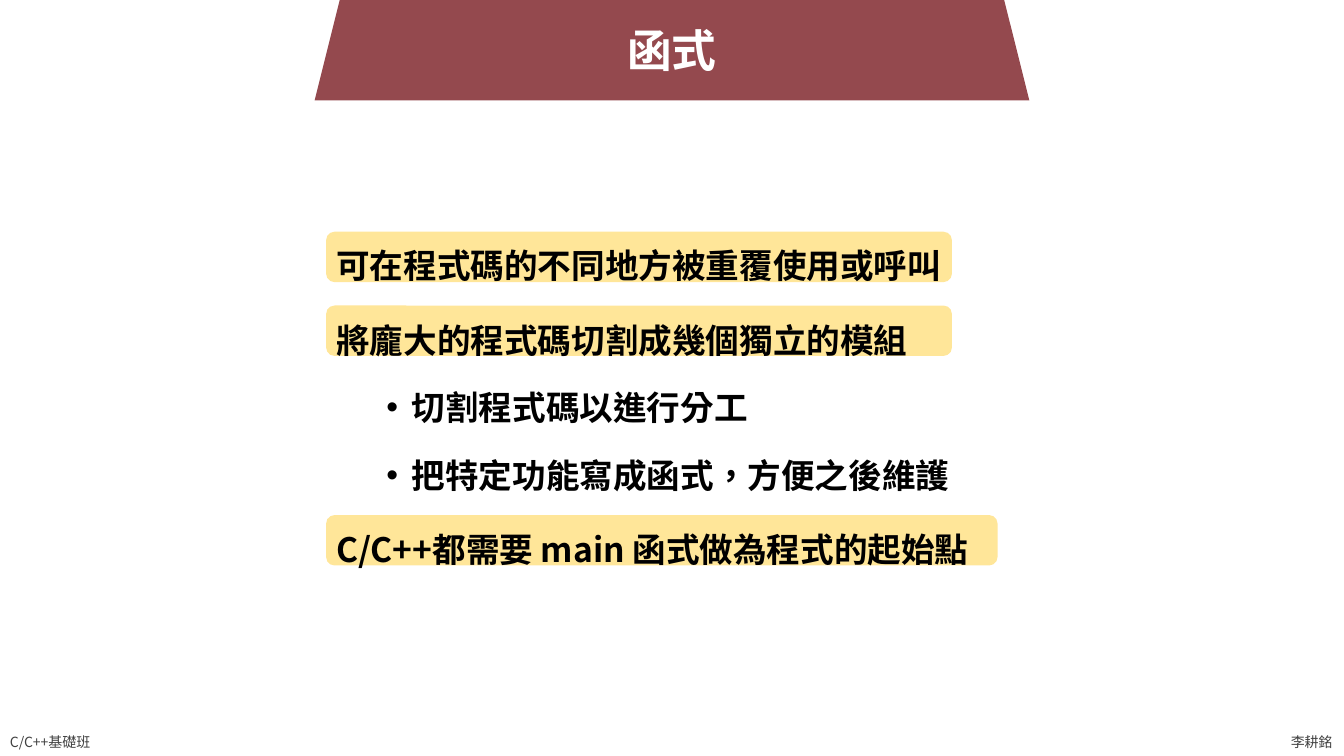
import pptx
import pptx.util
import pptx.dml.color
import pptx.enum.shapes
import pptx.enum.text
import pptx.oxml
import pptx.oxml.ns
from pptx.util import Cm

FONT = "Noto Sans CJK TC"
MSO_SHAPE = pptx.enum.shapes.MSO_SHAPE
ANCHOR = pptx.enum.text.MSO_ANCHOR
AUTO_SIZE = pptx.enum.text.MSO_AUTO_SIZE
ALIGN = pptx.enum.text.PP_ALIGN


def add_filled_shape(kind, left, top, width, height, color):
    shape = slide.shapes.add_shape(kind, Cm(left), Cm(top), Cm(width), Cm(height))
    shape.shadow.inherit = False
    shape.fill.solid()
    shape.fill.fore_color.rgb = pptx.dml.color.RGBColor.from_string(color)
    shape.line.fill.background()


def format_runs(paragraph, size, color, bold=False):
    for run in paragraph.runs:
        run.font.size = pptx.util.Pt(size)
        run.font.bold = bold
        run.font.name = FONT
        run.font.color.rgb = pptx.dml.color.RGBColor.from_string(color)
        run.font._element.set("lang", "zh-TW")
        east_asian = pptx.oxml.parse_xml(
            f'<a:ea {pptx.oxml.ns.nsdecls("a")} typeface="{FONT}"/>')
        run.font._element.find(pptx.oxml.ns.qn("a:latin")).addnext(east_asian)


presentation = pptx.Presentation()
presentation.slide_width = Cm(33.87)
presentation.slide_height = Cm(19.05)
slide = presentation.slides.add_slide(presentation.slide_layouts[1])
title = slide.shapes.title
body = slide.placeholders[1]

# Highlights behind the main points
for top, width in [(12.98, 16.92), (7.7, 15.77), (5.84, 15.77)]:
    add_filled_shape(MSO_SHAPE.ROUNDED_RECTANGLE, 8.22, top, width, 1.27, "FFE699")

# Footer: course and author
for text, left, width, anchor in [("C/C++基礎班", 0, 2.72, ANCHOR.TOP),
                                  ("李耕銘", 32.28, 1.58, ANCHOR.MIDDLE)]:
    footer = slide.shapes.add_textbox(Cm(left), Cm(18.36), Cm(width), Cm(0.69))
    footer.text_frame.word_wrap = False
    footer.text_frame.auto_size = AUTO_SIZE.SHAPE_TO_FIT_TEXT
    footer.text_frame.vertical_anchor = anchor
    footer.text_frame.text = text
    format_runs(footer.text_frame.paragraphs[0], 10, "404040")

# Title banner
add_filled_shape(MSO_SHAPE.TRAPEZOID, 7.93, -0.58, 18.01, 3.11, "94494E")

# Placeholders go in front of the shapes
for placeholder in (body, title):
    slide.shapes._spTree.append(placeholder._element)

# Main points, with bulleted details one level down
body.left, body.top, body.width, body.height = Cm(8.22), Cm(5.54), Cm(17.42), Cm(9.47)
body.text_frame.word_wrap = True
body.text_frame.auto_size = AUTO_SIZE.NONE
body.text_frame.vertical_anchor = ANCHOR.TOP
points = [
    (0, "可在程式碼的不同地方被重覆使用或呼叫"),
    (0, "將龐大的程式碼切割成幾個獨立的模組"),
    (1, "切割程式碼以進行分工"),
    (1, "把特定功能寫成函式，方便之後維護"),
    (0, "C/C++都需要 main 函式做為程式的起始點"),
]
body.text_frame.text = "\n".join(text for level, text in points)
for index, (level, text) in enumerate(points):
    paragraph = body.text_frame.paragraphs[index]
    paragraph.level = level
    paragraph.alignment = ALIGN.LEFT
    paragraph.line_spacing = 1.5
    paragraph.space_before = pptx.util.Pt(0 if index == 0 else 5 if level else 10)
    properties = paragraph._p.get_or_add_pPr()
    properties.set("marL", str(Cm(1.9) if level else 0))
    properties.set("indent", str(-Cm(0.64) if level else 0))
    bullets = ['buFont typeface="Arial"', 'buChar char="•"'] if level else ["buNone"]
    for bullet in bullets:
        tag, _, attribute = bullet.partition(" ")
        properties.append(pptx.oxml.parse_xml(
            f'<a:{tag} {pptx.oxml.ns.nsdecls("a")} {attribute}/>'))
    format_runs(paragraph, 24, "000000", bold=True)

# Title text
title.left, title.top, title.width, title.height = Cm(15.54), Cm(0.44), Cm(2.79), Cm(1.63)
title.text_frame.word_wrap = False
title.text_frame.auto_size = AUTO_SIZE.NONE
title.text_frame.vertical_anchor = ANCHOR.MIDDLE
title.text_frame.text = "函式"
title.text_frame.paragraphs[0].alignment = ALIGN.CENTER
format_runs(title.text_frame.paragraphs[0], 32, "FFFFFF", bold=True)

presentation.save("out.pptx")
